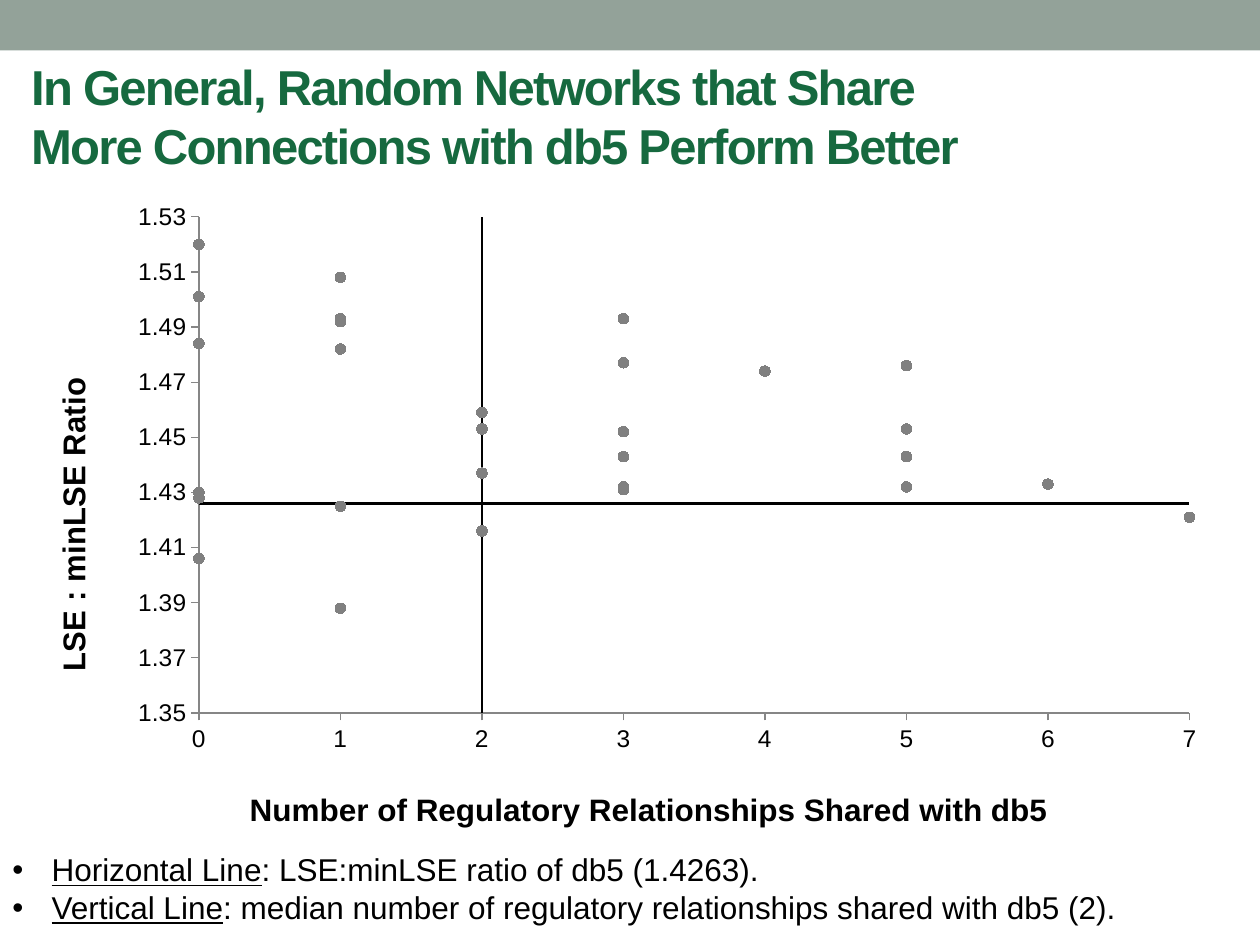
import pptx
import pptx.chart.data
import pptx.dml.color
import pptx.enum.chart
import pptx.enum.shapes
import pptx.enum.text
import pptx.oxml
import pptx.oxml.ns
import pptx.util

Cm, Pt = pptx.util.Cm, pptx.util.Pt
FONT = "Arial"
COLORS = {"band": "93A299", "title": "16693F", "text": "000000",
          "axis": "868686", "marker": "808080", "line": "000000"}

# Shared relationships and LSE : minLSE ratio of each network, by ratio;
# db5 itself has no count
SHARED = [1, 0, 2, 7, 1, None, 0, 0, 3, 3, 3, 5, 6, 2, 5, 3,
          3, 5, 2, 2, 4, 5, 3, 1, 0, 1, 1, 3, 0, 1, 0]
RATIOS = [1.388, 1.406, 1.416, 1.421, 1.425, 1.426, 1.428, 1.43,
          1.431, 1.431, 1.432, 1.432, 1.433, 1.437, 1.443, 1.443,
          1.452, 1.453, 1.453, 1.459, 1.474, 1.476, 1.477, 1.482,
          1.484, 1.492, 1.493, 1.493, 1.501, 1.508, 1.52]
MEDIAN_LINE = [(2, 0), (2, 1.6)]
DB5_LINE = [(0, 1.426), (8, 1.426)]
NOTES = [
    ("Horizontal Line", ": LSE:minLSE ratio of db5 (1.4263)."),
    ("Vertical Line", ": median number of regulatory relationships shared with db5 (2)."),
]


def rgb(name):
    return pptx.dml.color.RGBColor.from_string(COLORS[name])


def style_font(font, size, color="text", bold=False):
    font.name, font.size, font.bold = FONT, Pt(size), bold
    font.color.rgb = rgb(color)


def set_layout(parent, before, area, box):
    """Place a chart part at a box (x, y and maybe w, h) inside the chart area."""
    for old in parent.findall(pptx.oxml.ns.qn("c:layout")):
        parent.remove(old)
    inner = '<c:layoutTarget val="inner"/>' if len(box) == 4 else ""
    modes = '<c:xMode val="edge"/><c:yMode val="edge"/>'
    sizes = "".join(f'<c:{tag} val="{length / whole}"/>'
                    for tag, length, whole in zip("xywh", box, area * 2))
    layout = pptx.oxml.parse_xml(
        f'<c:layout {pptx.oxml.ns.nsdecls("c")}><c:manualLayout>'
        f'{inner}{modes}{sizes}</c:manualLayout></c:layout>')
    parent.insert(before, layout)


def add_band(slide, x, y, w, h):
    sp = slide.shapes.add_shape(pptx.enum.shapes.MSO_SHAPE.RECTANGLE, x, y, w, h)
    sp.shadow.inherit = False
    sp.fill.solid()
    sp.fill.fore_color.rgb = rgb("band")
    sp.line.fill.background()


def add_title(slide, x, y, w, h):
    tf = slide.shapes.add_textbox(x, y, w, h).text_frame
    tf.word_wrap = True
    tf.vertical_anchor = pptx.enum.text.MSO_ANCHOR.TOP
    tf.text = "In General, Random Networks that Share More Connections with db5 Perform Better"
    r = tf.paragraphs[0].runs[0]
    style_font(r.font, 28, "title", True)
    r.font._element.set("spc", "-100")


def style_axis(axis, title, area, box):
    axis.has_major_gridlines = False
    axis.major_tick_mark = pptx.enum.chart.XL_TICK_MARK.OUTSIDE
    axis.minor_tick_mark = pptx.enum.chart.XL_TICK_MARK.NONE
    axis.format.line.color.rgb = rgb("axis")
    style_font(axis.tick_labels.font, 14)
    tf = axis.axis_title.text_frame
    tf.text = title
    style_font(tf.paragraphs[0].runs[0].font, 18, bold=True)
    set_layout(axis.axis_title._element, 1, area, box)
    return tf


def add_scatter(slide, x, y, w, h):
    data = pptx.chart.data.XyChartData()
    for number, points in enumerate((zip(SHARED, RATIOS), MEDIAN_LINE, DB5_LINE), 1):
        series = data.add_series(f"Series {number}")
        for point in points:
            series.add_data_point(*point)
    chart = slide.shapes.add_chart(
        pptx.enum.chart.XL_CHART_TYPE.XY_SCATTER, x, y, w, h, data).chart
    chart.has_legend = chart.has_title = False
    style_font(chart.font, 10)
    plot = chart.plots[0]
    plot.vary_by_categories = False
    area = (w, h)
    set_layout(chart._chartSpace.chart.plotArea, 0, area,
               (Cm(3.12), Cm(0.54), Cm(19.97), Cm(10.17)))

    # Axes
    x_axis, y_axis = chart.category_axis, chart.value_axis
    x_axis.minimum_scale, x_axis.maximum_scale, x_axis.major_unit = 0, 7, 1
    y_axis.minimum_scale, y_axis.maximum_scale, y_axis.major_unit = 1.35, 1.53, 0.02
    y_axis.tick_labels.number_format = "0.00"
    y_axis.tick_labels.number_format_is_linked = False
    style_axis(x_axis, "Number of Regulatory Relationships Shared with db5",
               area, (Cm(4.03), Cm(12.15)))
    tf = style_axis(y_axis, "LSE : minLSE Ratio", area, (Cm(0.06), Cm(3.82)))
    body = tf._txBody.find(pptx.oxml.ns.qn("a:bodyPr"))
    body.set("rot", "-5400000")
    body.set("vert", "horz")

    # Dots for the networks, with a blank where the count is missing
    dots, *references = plot.series
    for pt in dots._element.xpath("c:xVal//c:pt[c:v='None']"):
        pt.getparent().remove(pt)
    dots.smooth = False
    dots.format.line.fill.background()
    dots.marker.style = pptx.enum.chart.XL_MARKER_STYLE.CIRCLE
    dots.marker.size = 6
    dots.marker.format.fill.solid()
    dots.marker.format.fill.fore_color.rgb = rgb("marker")
    dots.marker.format.line.fill.background()

    # Plain lines for the references
    for series in references:
        series.smooth = False
        series.marker.style = pptx.enum.chart.XL_MARKER_STYLE.NONE
        series.format.line.color.rgb = rgb("line")
        series.format.line.width = Pt(1.5)


def add_notes(slide, x, y, w, h):
    tf = slide.shapes.add_textbox(x, y, w, h).text_frame
    tf.word_wrap = True
    indent = Cm(0.79)
    for i, (term, meaning) in enumerate(NOTES):
        p = tf.add_paragraph() if i else tf.paragraphs[0]
        pPr = p._p.get_or_add_pPr()
        pPr.set("marL", str(indent))
        pPr.set("indent", str(-indent))
        for bullet in (f'buFont {pptx.oxml.ns.nsdecls("a")} typeface="{FONT}"',
                       f'buChar {pptx.oxml.ns.nsdecls("a")} char="•"'):
            pPr.append(pptx.oxml.parse_xml(f"<a:{bullet}/>"))
        for text, underlined in ((term, True), (meaning, False)):
            r = p.add_run()
            r.text = text
            style_font(r.font, 18)
            r.font.underline = underlined


def main():
    prs = pptx.Presentation()
    prs.slide_width, prs.slide_height = Cm(25.4), Cm(19.05)
    slide = prs.slides.add_slide(prs.slide_layouts[6])
    add_band(slide, 0, 0, prs.slide_width, Cm(1.02))
    add_title(slide, Cm(0.38), Cm(1.02), Cm(20.22), Cm(2.79))
    add_scatter(slide, Cm(0.89), Cm(3.84), Cm(23.7), Cm(13.03))
    add_notes(slide, 0, Cm(17.02), prs.slide_width, Cm(1.8))
    prs.save("out.pptx")


if __name__ == "__main__":
    main()
